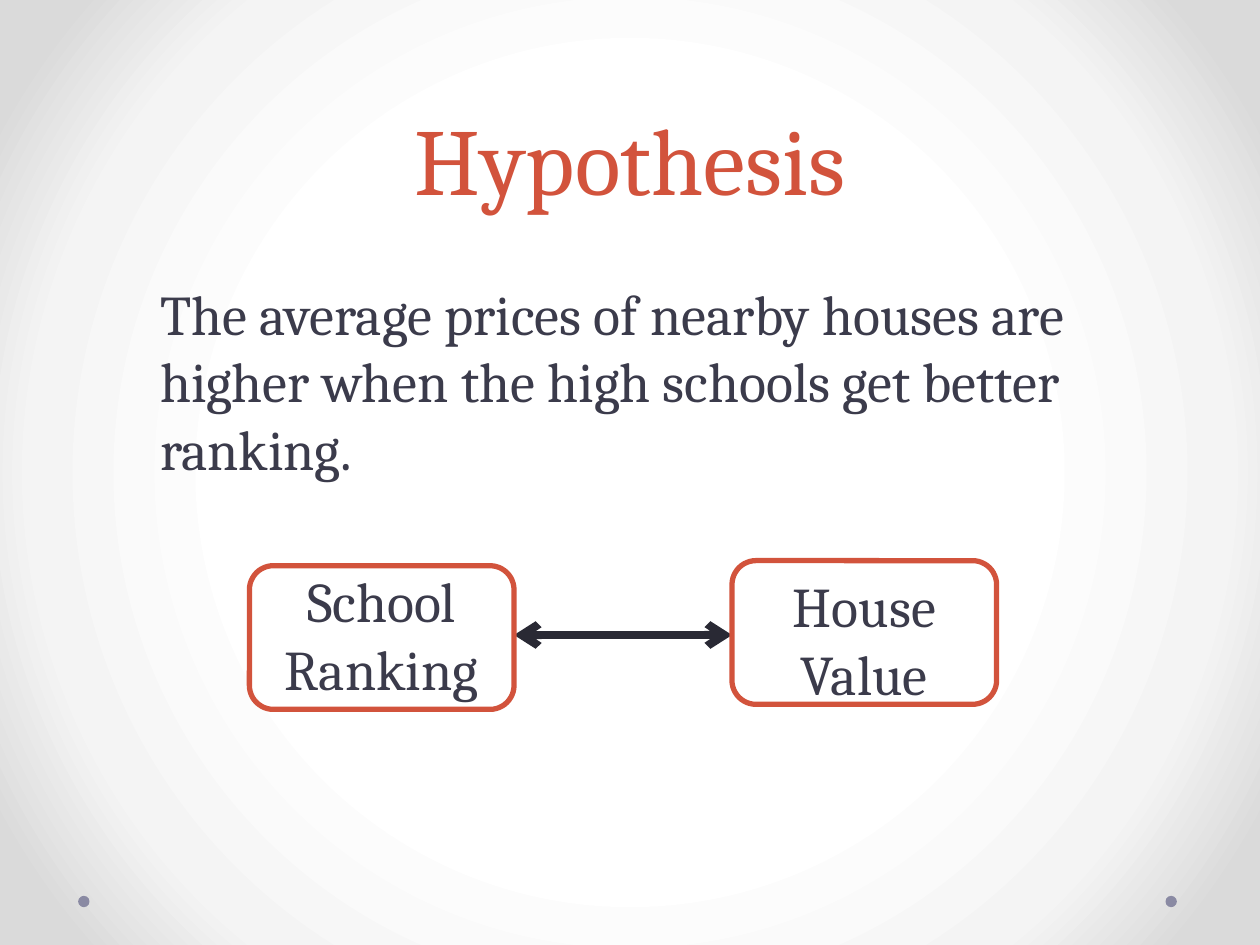
from lxml.etree import SubElement
from pptx import Presentation
from pptx.dml.color import RGBColor
from pptx.enum.shapes import MSO_CONNECTOR, MSO_SHAPE
from pptx.enum.text import MSO_ANCHOR, MSO_AUTO_SIZE, PP_ALIGN
from pptx.oxml.ns import qn
from pptx.util import Inches, Pt

HEADING = "Hypothesis"
STATEMENT = ("The average prices of nearby houses are higher when "
             "the high schools get better ranking.")
FACTORS = [
    {"label": "School Ranking", "left": 1.98, "label_top": 4.45, "box_top": 4.49},
    {"label": "House Value", "left": 5.81, "label_top": 4.49, "box_top": 4.45},
]
FACTOR_WIDTH, LABEL_HEIGHT, BOX_HEIGHT = 2.1, 1.18, 1.14
LINK_Y = 5.04
DOT_LEFTS, DOT_TOP, DOT_SIZE = (9.25, 0.62), 7.11, 0.09
BACKDROP = [(50, "FFFFFF"), (76, "F4F4F4"), (92, "DADADA")]
ACCENT, INK, LINK, DOT = "D2533C", "3B3B4B", "292934", "8A8AA3"
FRAME = {"word_wrap": True, "auto_size": MSO_AUTO_SIZE.NONE}
CENTRED = {"alignment": PP_ALIGN.CENTER}


def color(hex_code):
    """Turn a hex string into a colour."""
    return RGBColor.from_string(hex_code)


def apply(target, values):
    """Set each attribute named in a dict of format values."""
    for name, value in values.items():
        setattr(target, name, value)


def place(shape, left, top, width, height):
    """Move and size a shape in inches."""
    apply(shape, {"left": Inches(left), "top": Inches(top),
                  "width": Inches(width), "height": Inches(height)})


def write(shape, text, size, hex_code, frame_format, paragraph_format):
    """Fill a shape with one formatted paragraph."""
    frame = shape.text_frame
    apply(frame, {**FRAME, **frame_format})
    paragraph = frame.paragraphs[0]
    apply(paragraph, paragraph_format)
    run = paragraph.add_run()
    run.text = text
    apply(run.font, {"name": "Cambria", "size": Pt(size)})
    run.font.color.rgb = color(hex_code)
    return paragraph


def paint_backdrop(slide):
    """Give the slide a circular gradient from its centre."""
    slide.background.fill.gradient()
    gradient = next(slide.element.iter(qn("a:gradFill")))
    for child in list(gradient):
        gradient.remove(child)
    stops = SubElement(gradient, qn("a:gsLst"))
    for position, hex_code in BACKDROP:
        stop = SubElement(stops, qn("a:gs"), pos=str(position * 1000))
        SubElement(stop, qn("a:srgbClr"), val=hex_code)
    circle = SubElement(gradient, qn("a:path"), {"path": "circle"})
    SubElement(circle, qn("a:fillToRect"), {side: "50000" for side in "ltrb"})


def add_dots(slide):
    """Draw the two small dots at the foot."""
    for left in DOT_LEFTS:
        dot = slide.shapes.add_shape(MSO_SHAPE.OVAL, Inches(left), Inches(DOT_TOP),
                                     Inches(DOT_SIZE), Inches(DOT_SIZE))
        dot.shadow.inherit = False
        dot.fill.solid()
        dot.fill.fore_color.rgb = color(DOT)
        dot.line.fill.background()


def add_text(slide):
    """Fill the title and body placeholders."""
    title, body = slide.placeholders
    place(title, 0.5, 0, 9, 1.75)
    write(title, HEADING, 54, ACCENT, {"vertical_anchor": MSO_ANCHOR.BOTTOM},
          {**CENTRED, "line_spacing": Pt(58)})
    place(body, 1.17, 2.17, 7.83, 1.92)
    statement = write(body, STATEMENT, 32, INK, {}, {})
    properties = statement._p.get_or_add_pPr()
    apply_indent = {"marL": "0", "indent": "0"}
    for name, value in apply_indent.items():
        properties.set(name, value)
    SubElement(properties, qn("a:buNone"))


def add_link(slide):
    """Draw the two-headed arrow between the factors."""
    start = FACTORS[0]["left"] + FACTOR_WIDTH
    link = slide.shapes.add_connector(MSO_CONNECTOR.STRAIGHT, Inches(start), Inches(LINK_Y),
                                      Inches(FACTORS[1]["left"]), Inches(LINK_Y))
    link.line.width = Pt(4.5)
    link.line.color.rgb = color(LINK)
    outline = link.line._get_or_add_ln()
    for end in ("a:headEnd", "a:tailEnd"):
        SubElement(outline, qn(end), type="arrow")
    SubElement(link._element.spPr, qn("a:effectLst"))


def add_factor(slide, factor):
    """Group a label with its rounded box."""
    group = slide.shapes.add_group_shape()
    left, width = Inches(factor["left"]), Inches(FACTOR_WIDTH)
    label = group.shapes.add_textbox(left, Inches(factor["label_top"]),
                                     width, Inches(LABEL_HEIGHT))
    write(label, factor["label"], 32, INK,
          {"auto_size": MSO_AUTO_SIZE.SHAPE_TO_FIT_TEXT}, CENTRED)
    box = group.shapes.add_shape(MSO_SHAPE.FLOWCHART_ALTERNATE_PROCESS, left,
                                 Inches(factor["box_top"]), width, Inches(BOX_HEIGHT))
    box.shadow.inherit = False
    box.fill.background()
    box.line.color.rgb = color(ACCENT)
    box.line.width = Pt(3)


def main():
    """Build and save the slide."""
    deck = Presentation()
    apply(deck, {"slide_width": Inches(10), "slide_height": Inches(7.5)})
    slide = deck.slides.add_slide(deck.slide_layouts[1])
    paint_backdrop(slide)
    add_dots(slide)
    add_text(slide)
    add_link(slide)
    for factor in FACTORS:
        add_factor(slide, factor)
    deck.save("out.pptx")


if __name__ == "__main__":
    main()
